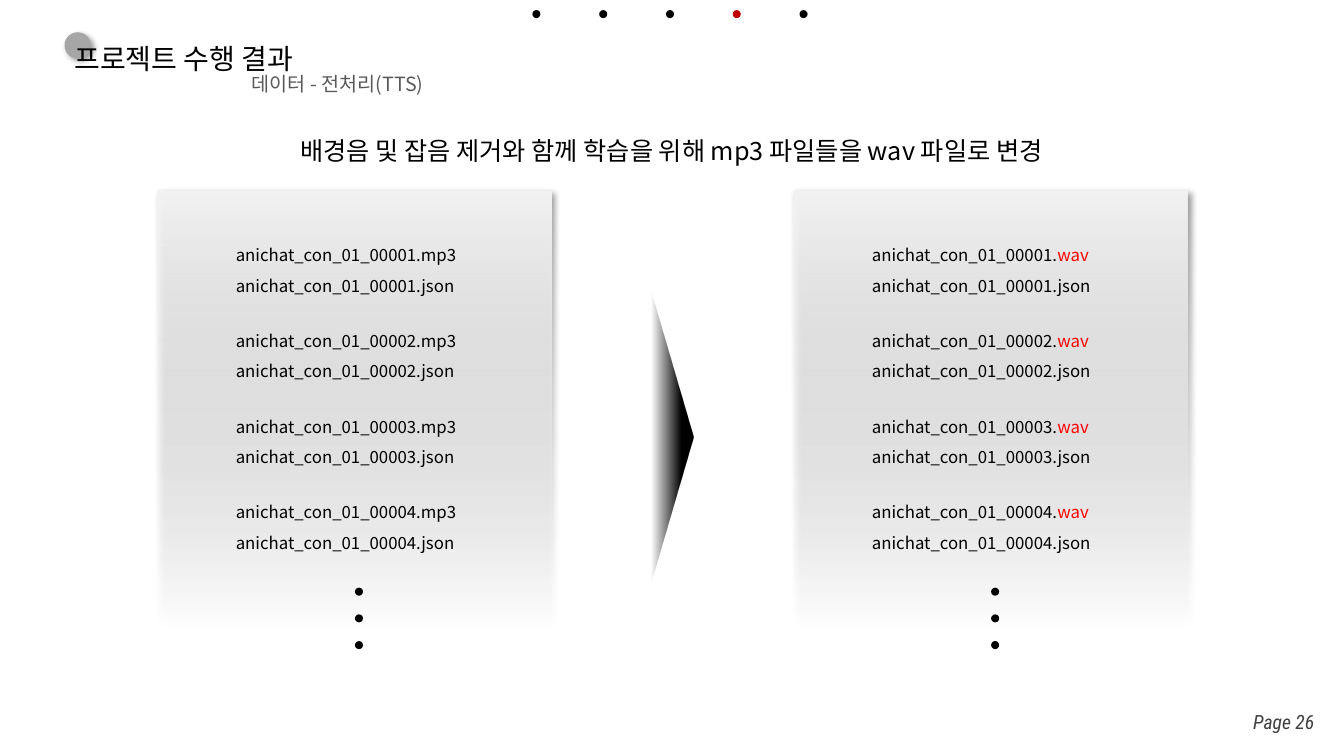
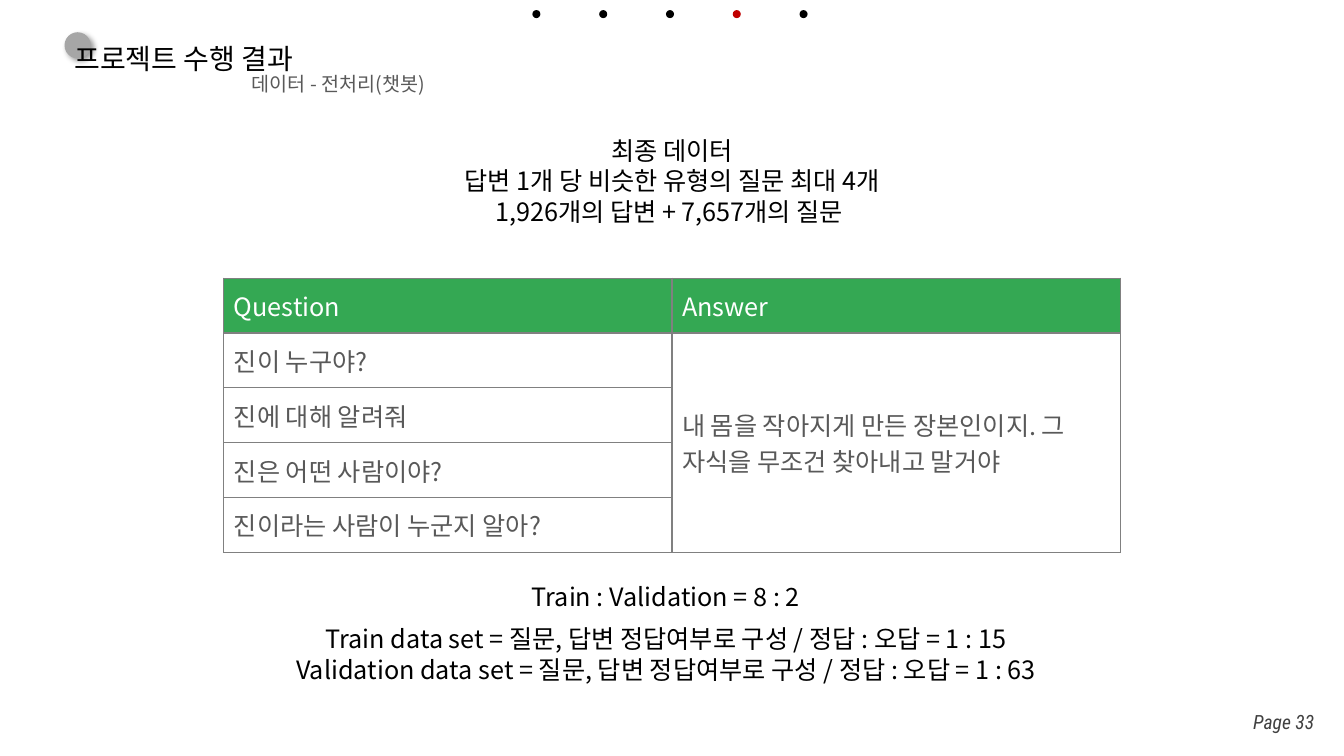
from lxml import etree
from pptx import Presentation
from pptx.dml.color import RGBColor
from pptx.enum.shapes import MSO_SHAPE
from pptx.enum.text import MSO_ANCHOR, MSO_AUTO_SIZE, PP_ALIGN
from pptx.oxml import parse_xml
from pptx.oxml.ns import nsdecls, qn
from pptx.util import Inches, Pt

BLACK = RGBColor(0x00, 0x00, 0x00)
WHITE = RGBColor(0xFF, 0xFF, 0xFF)
RED = RGBColor(0xFF, 0x00, 0x00)
CURRENT_SECTION = RGBColor(0xC0, 0x00, 0x00)
HEADER_GREEN = RGBColor(0x34, 0xA8, 0x53)
BORDER_GRAY = RGBColor(0x80, 0x80, 0x80)
MARK_GRAY = RGBColor(0xA6, 0xA6, 0xA6)
PANEL_GRAY = RGBColor(0xF2, 0xF2, 0xF2)
SOFT_GRAY = RGBColor(0x59, 0x59, 0x59)
PAGE_GRAY = RGBColor(0x40, 0x40, 0x40)

BODY_FONT = "Noto Sans CJK KR"
PAGE_FONT = "Roboto Condensed"
TEXT_LEADING = 1.22
TABLE_LEADING = 1.45
DOT_SIZE = 0.08


# Text
def style_paragraph(paragraph, size, color, align=PP_ALIGN.LEFT, name=BODY_FONT,
                    italic=None, leading=TEXT_LEADING):
    paragraph.alignment = align
    paragraph.line_spacing = Pt(round(size * leading, 2))
    font = paragraph.font
    font.size, font.name, font.italic = Pt(size), name, italic
    font.color.rgb = color
    latin = font._element.find(qn("a:latin"))
    latin.addnext(parse_xml(f'<a:ea {nsdecls("a")} typeface="{name}"/>'))


def add_text(slide, box, lines, size, color=BLACK, anchor=MSO_ANCHOR.TOP, **style):
    frame = slide.shapes.add_textbox(*map(Inches, box)).text_frame
    frame.word_wrap = True
    frame.auto_size = MSO_AUTO_SIZE.NONE
    frame.vertical_anchor = anchor
    for index, line in enumerate(lines):
        paragraph = frame.add_paragraph() if index else frame.paragraphs[0]
        paragraph.add_run().text = line
        style_paragraph(paragraph, size, color, **style)
    return frame


# Shapes
def add_plain_shape(slide, kind, box, color=None):
    shape = slide.shapes.add_shape(kind, *map(Inches, box))
    shape.shadow.inherit = False
    shape.line.fill.background()
    if color is not None:
        shape.fill.solid()
        shape.fill.fore_color.rgb = color
    return shape


def add_dot(slide, left, top, color=BLACK):
    add_plain_shape(slide, MSO_SHAPE.OVAL, (left, top, DOT_SIZE, DOT_SIZE), color)


def fade_out(shape, color, start, end):
    """Fill from opaque at start to transparent at end, in percent, downwards."""
    stops = "".join(
        f'<a:gs pos="{pos * 1000}"><a:srgbClr val="{color}">'
        f'<a:alpha val="{alpha * 1000}"/></a:srgbClr></a:gs>'
        for pos, alpha in ((start, 100), (end, 0)))
    shape._element.spPr.find(qn("a:prstGeom")).addnext(parse_xml(
        f'<a:gradFill {nsdecls("a")} rotWithShape="1"><a:gsLst>{stops}</a:gsLst>'
        '<a:lin ang="5400000" scaled="0"/></a:gradFill>'))


def cast_shadow(shape):
    effects = shape._element.spPr.find(qn("a:effectLst"))
    effects.append(parse_xml(
        f'<a:outerShdw {nsdecls("a")} blurRad="50800" dist="38100" dir="2700000" '
        'algn="tl" rotWithShape="0"><a:srgbClr val="000000">'
        '<a:alpha val="40000"/></a:srgbClr></a:outerShdw>'))


# Parts that every slide shares
def add_frame(prs, page, topic):
    slide = prs.slides.add_slide(prs.slide_layouts[6])
    add_text(slide, (12.33, 6.96, 1, 0.4), [f"Page {page}"], 14, PAGE_GRAY,
             anchor=MSO_ANCHOR.MIDDLE, name=PAGE_FONT, italic=True)
    for section in range(5):
        add_dot(slide, 5.28 + section * 0.6625, 0.1,
                CURRENT_SECTION if section == 3 else BLACK)
    cast_shadow(add_plain_shape(slide, MSO_SHAPE.OVAL, (0.64, 0.32, 0.26, 0.26), MARK_GRAY))
    add_text(slide, (0.64, 0.36, 3.47, 0.44), ["프로젝트 수행 결과"], 20)
    add_text(slide, (1.04, 0.66, 2.09, 0.34), ["데이터"], 14, SOFT_GRAY,
             align=PP_ALIGN.RIGHT)
    add_text(slide, (2.98, 0.66, 1.96, 0.34), [f"- {topic}"], 14, SOFT_GRAY)
    return slide


def add_statement(slide, box, *lines):
    add_text(slide, box, lines, 18, align=PP_ALIGN.CENTER)


# File list on a fading panel
def add_file_panel(slide, left, audio_format, audio_color):
    panel = add_plain_shape(slide, MSO_SHAPE.RECTANGLE, (left, 1.89, 3.91, 5.15))
    fade_out(panel, PANEL_GRAY, 0, 84)
    cast_shadow(panel)
    for index in range(4):
        stem = f"anichat_con_01_{index + 1:05d}."
        for row, (suffix, color) in enumerate(((audio_format, audio_color), ("json", BLACK))):
            top = 2.38 + index * 0.85 + row * 0.3
            file_name = add_text(slide, (left + 0.68, top, 2.65, 0.3), [stem], 12)
            extension = file_name.paragraphs[0].add_run()
            extension.text = suffix
            if color != BLACK:
                extension.font.color.rgb = color
    for index in range(3):
        add_dot(slide, left + 1.96, 5.83 + index * 0.265)


# Question and answer table
def set_borders(cell):
    properties = cell._tc.get_or_add_tcPr()
    for index, side in enumerate(("lnL", "lnR", "lnT", "lnB")):
        border = etree.Element(qn(f"a:{side}"), w=str(Pt(1)))
        fill = etree.SubElement(border, qn("a:solidFill"))
        etree.SubElement(fill, qn("a:srgbClr"), val=str(BORDER_GRAY))
        properties.insert(index, border)


def add_qa_table(slide, questions, answer):
    rows = [("Question", "Answer"), (questions[0], answer)]
    rows += [(question, "") for question in questions[1:]]
    table = slide.shapes.add_table(
        len(rows), 2, *map(Inches, (2.22, 2.76, 8.89, 2.72))).table
    for row, texts in enumerate(rows):
        for column, text in enumerate(texts):
            cell = table.cell(row, column)
            cell.vertical_anchor = MSO_ANCHOR.MIDDLE
            cell.fill.solid()
            cell.fill.fore_color.rgb = WHITE if row else HEADER_GREEN
            set_borders(cell)
            if text:
                cell.text = text
                style_paragraph(cell.text_frame.paragraphs[0], 18,
                                SOFT_GRAY if row else WHITE, leading=TABLE_LEADING)
    table.cell(1, 1).merge(table.cell(len(rows) - 1, 1))


def build_audio_slide(prs):
    slide = add_frame(prs, 26, "전처리(TTS)")
    add_statement(slide, (2.43, 1.29, 8.46, 0.4),
                  "배경음 및 잡음 제거와 함께 학습을 위해 mp3 파일들을 wav 파일로 변경")
    add_file_panel(slide, 1.56, "mp3", BLACK)
    add_file_panel(slide, 7.87, "wav", RED)
    arrow = add_plain_shape(slide, MSO_SHAPE.ISOSCELES_TRIANGLE, (5.22, 4.13, 2.9, 0.41))
    arrow.rotation = 90
    fade_out(arrow, BLACK, 29, 100)


def build_chatbot_slide(prs):
    slide = add_frame(prs, 33, "전처리(챗봇)")
    add_statement(slide, (3.99, 1.29, 5.35, 0.4), "최종 데이터")
    add_statement(slide, (3.33, 1.59, 6.67, 0.71),
                  "답변 1개 당 비슷한 유형의 질문 최대 4개",
                  "1,926개의 답변 + 7,657개의 질문 ")
    add_qa_table(
        slide,
        ["진이 누구야?", "진에 대해 알려줘", "진은 어떤 사람이야?", "진이라는 사람이 누군지 알아?"],
        "내 몸을 작아지게 만든 장본인이지. 그 자식을 무조건 찾아내고 말거야")
    add_statement(slide, (3.27, 5.71, 6.67, 0.4), "Train : Validation = 8 : 2")
    add_statement(slide, (2.18, 6.13, 8.85, 0.71),
                  "Train data set = 질문, 답변 정답여부로 구성 / 정답 : 오답 = 1 : 15",
                  "Validation data set = 질문, 답변 정답여부로 구성 / 정답 : 오답 = 1 : 63")


def main():
    prs = Presentation()
    prs.slide_width, prs.slide_height = Inches(13.33), Inches(7.5)
    build_audio_slide(prs)
    build_chatbot_slide(prs)
    prs.save("out.pptx")


if __name__ == "__main__":
    main()
